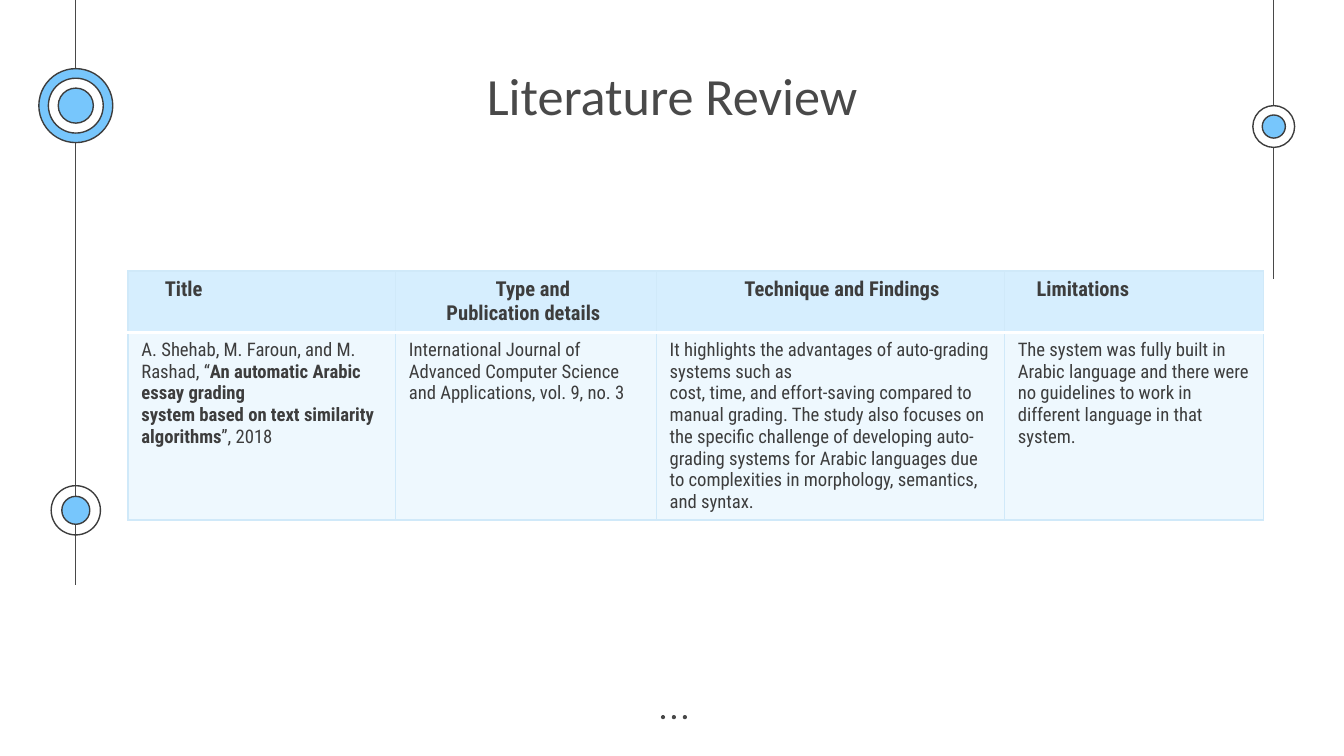
import pptx
import pptx.util
import pptx.dml.color
import pptx.enum.shapes
import pptx.enum.text
import pptx.oxml.ns
from dataclasses import dataclass
from lxml import etree

Pt = pptx.util.Pt
qn = pptx.oxml.ns.qn
OVAL = pptx.enum.shapes.MSO_SHAPE.OVAL
STRAIGHT = pptx.enum.shapes.MSO_CONNECTOR.STRAIGHT
CENTER = pptx.enum.text.PP_ALIGN.CENTER
LEFT = pptx.enum.text.PP_ALIGN.LEFT


@dataclass(frozen=True)
class Theme:
    white: str = "FFFFFF"
    blue: str = "77C6FC"
    ink: str = "3D3D3D"
    grey: str = "494949"
    pale: str = "D6EEFE"
    border: str = "D0E9F9"
    title_font: str = "Calibri"
    body_font: str = "Roboto Condensed"
    title_size: float = 28
    header_size: float = 11
    body_size: float = 10
    thin: float = 0.75
    rule: float = 2
    body_alpha: int = 40


T = Theme()

# Header cells: lines of text, alignment, indents in points
HEADERS = [
    (["Title"], LEFT, [12.5]),
    (["Type and ", "Publication details "], CENTER, [10, 0]),
    (["Technique and Findings"], CENTER, [12.5]),
    (["Limitations"], LEFT, [10]),
]

# Body cells: paragraphs made of (text, bold) runs
BODY = [
    [
        [("A. Shehab, M. Faroun, and M. Rashad, “", False),
         ("An automatic Arabic essay grading", True)],
        [("system based on text similarity algorithms", True),
         ("”, 2018", False)],
    ],
    [[("International Journal of Advanced Computer Science and "
       "Applications, vol. 9, no. 3", False)]],
    [
        [("It highlights the advantages of auto-grading systems such as", False)],
        [("cost, time, and effort-saving compared to manual grading. "
          "The study also focuses on", False)],
        [("the specific challenge of developing auto-grading systems for "
          "Arabic languages due", False)],
        [("to complexities in morphology, semantics, and syntax.", False)],
    ],
    [[("The system was fully built in Arabic language and there were no "
       "guidelines to work in different language in that system.", False)]],
]


def rgb(color):
    return pptx.dml.color.RGBColor.from_string(color)


def add_run(p, text, font, size, color, bold=False):
    r = p.add_run()
    r.text = text
    r.font.name = font
    r.font.size = Pt(size)
    r.font.bold = bold
    r.font.color.rgb = rgb(color)


def add_line(s, x, length):
    line = s.shapes.add_connector(STRAIGHT, Pt(x), Pt(0), Pt(x), Pt(length))
    line.line.color.rgb = rgb(T.grey)
    line.line.width = Pt(T.thin)
    etree.SubElement(line._element.spPr, qn("a:effectLst"))


def add_circle(s, cx, cy, d, fill, outline=None):
    sp = s.shapes.add_shape(OVAL, Pt(cx - d / 2), Pt(cy - d / 2), Pt(d), Pt(d))
    sp.shadow.inherit = False
    if fill:
        sp.fill.solid()
        sp.fill.fore_color.rgb = rgb(fill)
    else:
        sp.fill.background()
    if outline:
        sp.line.color.rgb = rgb(outline)
        sp.line.width = Pt(T.thin)
    else:
        sp.line.fill.background()


def add_target(s, cx, cy, rings):
    for d, fill in rings:
        add_circle(s, cx, cy, d, fill, T.ink)


def add_title(s, text):
    sp = s.shapes.title
    sp.left, sp.top, sp.width, sp.height = Pt(233.3), Pt(26.6), Pt(253.4), Pt(45.4)
    tf = sp.text_frame
    tf.word_wrap = True
    tf.vertical_anchor = pptx.enum.text.MSO_ANCHOR.TOP
    tf.margin_left = tf.margin_right = tf.margin_top = tf.margin_bottom = Pt(7.2)
    p = tf.paragraphs[0]
    p.alignment = CENTER
    add_run(p, text, T.title_font, T.title_size, T.grey)


def style_cell(cell, borders, alpha=None):
    cell.fill.solid()
    cell.fill.fore_color.rgb = rgb(T.pale)
    tc_pr = cell._tc.get_or_add_tcPr()
    if alpha:
        clr = tc_pr.find(".//" + qn("a:srgbClr"))
        etree.SubElement(clr, qn("a:alpha"), val=str(alpha * 1000))
    # Borders come before the fill, in the order L, R, T, B
    for i, side in enumerate("LRTB"):
        color, width = borders.get(side, (T.border, T.thin))
        ln = etree.Element(qn("a:ln" + side), w=str(Pt(width)))
        fill = etree.SubElement(ln, qn("a:solidFill"))
        etree.SubElement(fill, qn("a:srgbClr"), val=color)
        tc_pr.insert(i, ln)


def fill_cell(cell, paragraphs, size, align=LEFT, indents=None):
    tf = cell.text_frame
    for i, runs in enumerate(paragraphs):
        p = tf.paragraphs[0] if i == 0 else tf.add_paragraph()
        p.alignment = align
        if indents and indents[i]:
            p._p.get_or_add_pPr().set("marL", str(Pt(indents[i])))
        for text, bold in runs:
            add_run(p, text, T.body_font, size, T.ink, bold)


def add_review_table(s):
    widths, heights = [143.3, 139.7, 186.5, 139], [31, 82.8]
    frame = s.shapes.add_table(2, 4, Pt(68.6), Pt(145.2),
                               Pt(sum(widths)), Pt(sum(heights)))
    table = frame.table
    table.first_row = table.horz_banding = False
    for col, width in zip(table.columns, widths):
        col.width = Pt(width)
    for row, height in zip(table.rows, heights):
        row.height = Pt(height)

    rule = (T.white, T.rule)
    for c, (lines, align, indents) in enumerate(HEADERS):
        cell = table.cell(0, c)
        style_cell(cell, {"B": rule})
        fill_cell(cell, [[(line, True)] for line in lines],
                  T.header_size, align, indents)
    for c, paragraphs in enumerate(BODY):
        cell = table.cell(1, c)
        style_cell(cell, {"T": rule}, T.body_alpha)
        fill_cell(cell, paragraphs, T.body_size)


def main():
    prs = pptx.Presentation()
    prs.slide_width, prs.slide_height = Pt(720), Pt(405)
    s = prs.slides.add_slide(prs.slide_layouts[5])
    s.background.fill.solid()
    s.background.fill.fore_color.rgb = rgb(T.white)

    # Side lines with targets
    left_x, right_x = 40.6, 682.4
    add_line(s, left_x, 313.2)
    add_line(s, right_x, 149.6)
    add_target(s, left_x, 273.4, [(26.4, None), (15, T.blue)])
    add_target(s, right_x, 67.8, [(22.4, T.white), (12.4, T.blue)])
    add_target(s, left_x, 56.6,
               [(39.6, T.blue), (29.4, T.white), (18.8, T.blue)])

    # Title and table
    add_title(s, "Literature Review")
    add_review_table(s)

    # Footer dots
    for i in range(3):
        add_circle(s, 355.2 + 5.85 * i, 384.2, 2.2, T.grey)

    prs.save("out.pptx")


if __name__ == "__main__":
    main()
